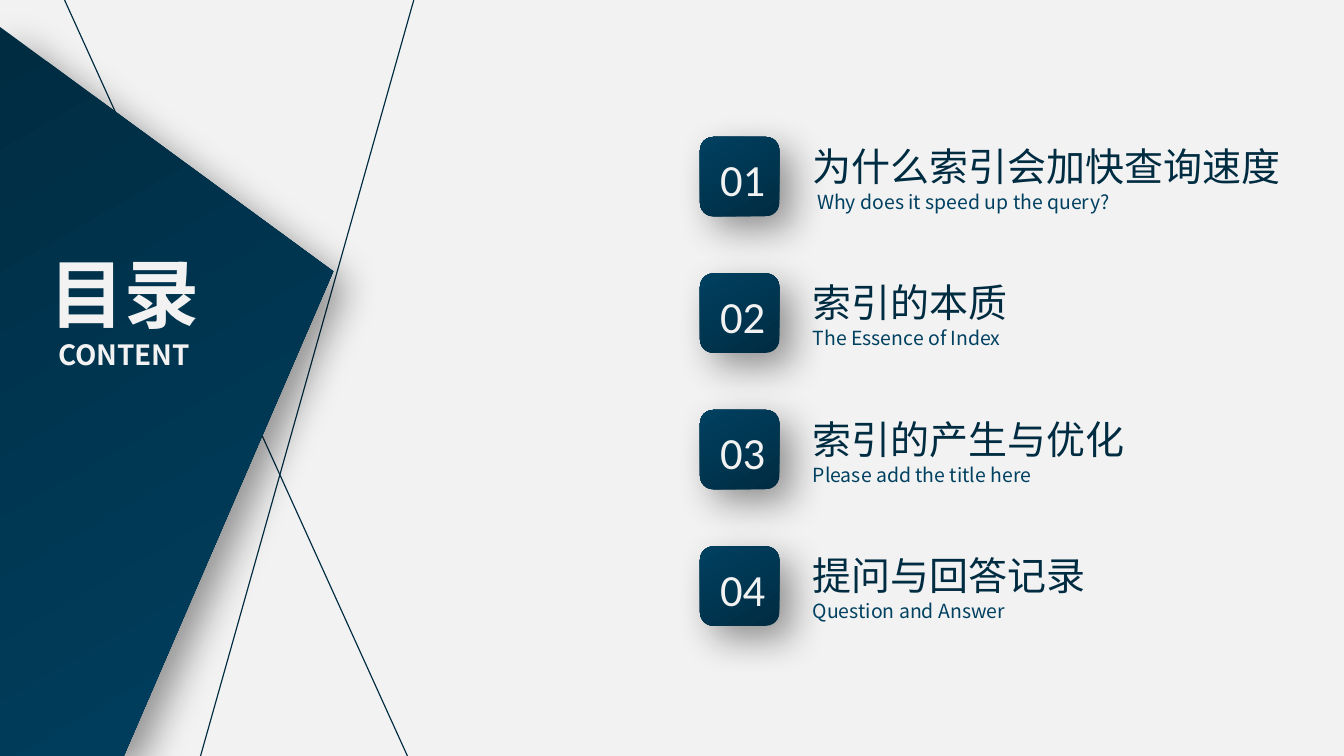
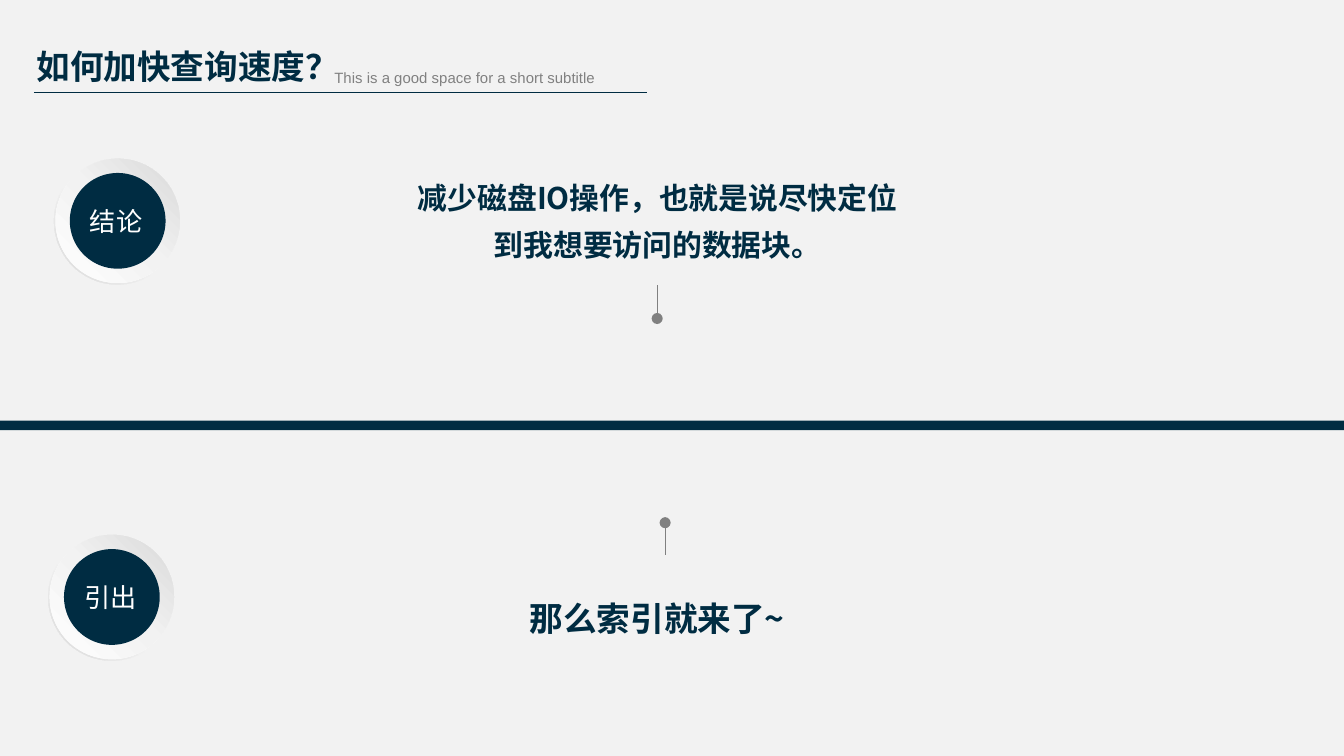
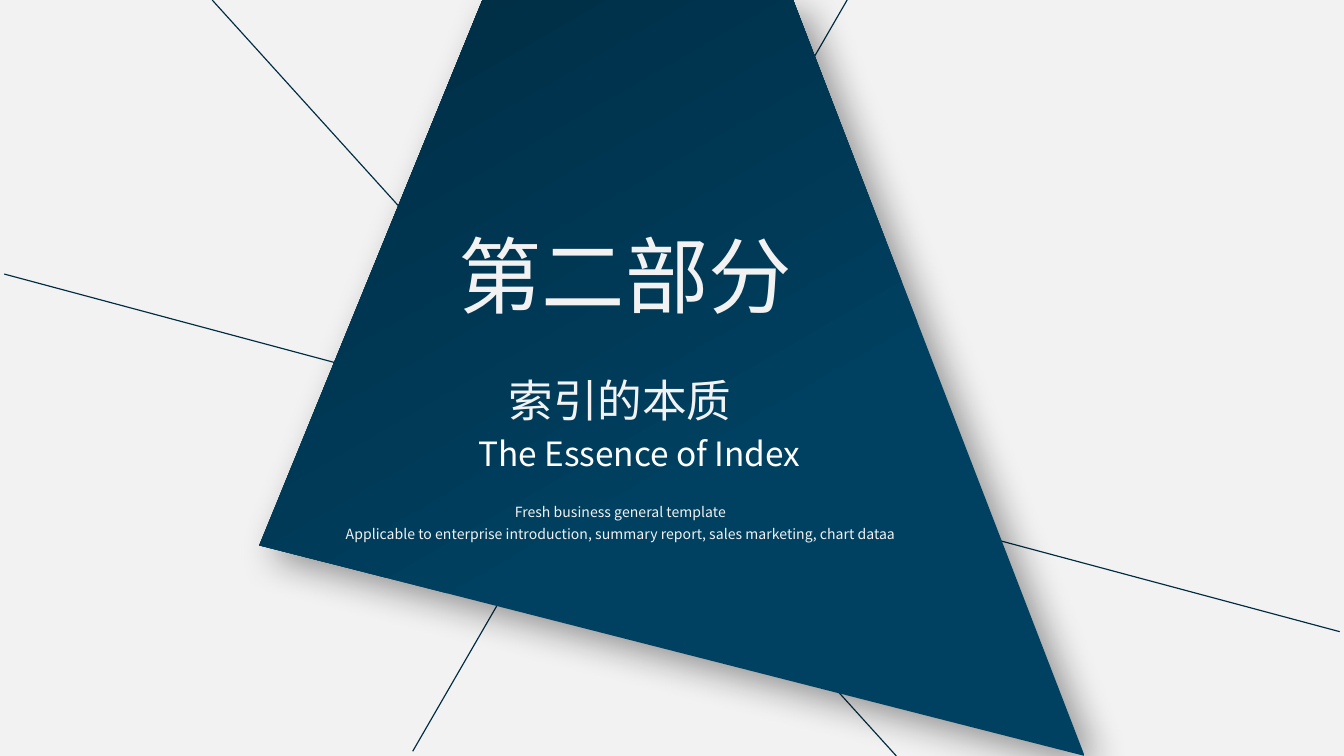
from lxml.etree import SubElement
from pptx import Presentation
from pptx.dml.color import RGBColor
from pptx.enum.shapes import MSO_CONNECTOR as Link, MSO_SHAPE as Kind
from pptx.enum.text import MSO_ANCHOR as Anchor, MSO_AUTO_SIZE as Fit, PP_ALIGN as Align
from pptx.oxml.ns import qn
from pptx.util import Cm, Pt

# Shared colours, fonts and measures
NAVY = RGBColor(0x00, 0x2C, 0x42)
BLUE = RGBColor(0x00, 0x40, 0x60)
PALE = RGBColor(0xF2, 0xF2, 0xF2)
SILVER = RGBColor(0xD9, 0xD9, 0xD9)
GRAY = RGBColor(0x80, 0x80, 0x80)
WHITE = RGBColor(0xFF, 0xFF, 0xFF)
SANS = "Noto Sans CJK SC"
WIDE, HIGH = 25.4, 14.29
DEEP = [(0, NAVY), (100, BLUE)]


def style(size, ink, bold=False, name=SANS):
    return {"ink": ink, "size": Pt(size), "bold": bold, "name": name}


STYLES = {
    "cover": style(40.2, PALE, True),
    "label": style(14.9, PALE, True),
    "number": style(23.9, PALE, name="Calibri"),
    "head": style(20.9, NAVY),
    "note": style(10.4, BLUE),
    "title": style(18, NAVY, True),
    "hint": style(8, GRAY, name="Arial"),
    "badge": style(14, WHITE),
    "claim": style(16, NAVY, True),
    "part": style(44.7, PALE),
    "topic": style(23.9, PALE),
    "english": style(17.9, WHITE),
    "small": style(7.5, PALE),
}


# Drawing helpers
def scale(box):
    return [Cm(v) for v in box]


def write(shapes, box, lines, align=Align.LEFT, gap=1.0, wrap=True,
          pad=(0.25, 0.13, 0.25, 0.13), holder=None):
    """Write (text, style) lines in a text box or a given placeholder."""
    spot = scale(box)
    if holder is None:
        holder = shapes.add_textbox(*spot)
    else:
        tree = holder._element.getparent()
        tree.append(holder._element)  # bring in front of the panels
    sides = zip(("left", "top", "width", "height"), spot)
    for key, val in sides:
        setattr(holder, key, val)
    frame = holder.text_frame
    form = {"word_wrap": wrap, "auto_size": Fit.SHAPE_TO_FIT_TEXT,
            "vertical_anchor": Anchor.TOP}
    edges = ("margin_left", "margin_top", "margin_right", "margin_bottom")
    form.update(zip(edges, scale(pad)))
    for key, val in form.items():
        setattr(frame, key, val)
    for i, (words, look) in enumerate(lines):
        para = frame.add_paragraph() if i else frame.paragraphs[0]
        flow = {"alignment": align, "line_spacing": gap, "space_before": Pt(0)}
        for key, val in flow.items():
            setattr(para, key, val)
        run = para.add_run()
        run.text = words
        for key, val in STYLES[look].items():
            if key == "ink":
                run.font.color.rgb = val
            else:
                setattr(run.font, key, val)
        east = SubElement(run._r.get_or_add_rPr(), qn("a:ea"))
        east.set("typeface", STYLES[look]["name"])


def line(shapes, start, end, ink=NAVY, width=0.63, dot=False):
    link = shapes.add_connector(Link.STRAIGHT, *scale(start + end))
    link.line.color.rgb = ink
    link.line.width = Pt(width)
    if dot:
        SubElement(link.line._get_or_add_ln(), qn("a:headEnd")).set("type", "oval")
    SubElement(link._element.spPr, qn("a:effectLst"))


def blend(shape, stops, angle):
    """Fill with a linear gradient; the angle runs clockwise."""
    shape.fill.gradient()
    shape.fill.gradient_angle = 360 - angle
    grad = shape._element.spPr.find(qn("a:gradFill"))
    ramp = grad.find(qn("a:gsLst"))
    for old in list(ramp):
        ramp.remove(old)
    for pos, ink in stops:
        stop = SubElement(ramp, qn("a:gs"), pos=str(pos * 1000))
        SubElement(stop, qn("a:srgbClr"), val=str(ink))


def finish(shape, fill, angle=None, shade=False):
    shape.shadow.inherit = False
    shape.line.fill.background()
    if angle is None:
        shape.fill.solid()
        shape.fill.fore_color.rgb = fill
    else:
        blend(shape, fill, angle)
    if shade:
        effects = shape._element.spPr.find(qn("a:effectLst"))
        cast = SubElement(effects, qn("a:outerShdw"), blurRad=str(Pt(20)),
                          dist=str(Pt(10)), dir="2700000", algn="tl", rotWithShape="0")
        black = SubElement(cast, qn("a:srgbClr"), val="000000")
        SubElement(black, qn("a:alpha"), val="40000")
    return shape


def panel(shapes, points, stops, angle):
    first, *rest = [scale(p) for p in points]
    pen = shapes.build_freeform(*first)
    pen.add_line_segments(rest, close=True)
    finish(pen.convert_to_shape(), stops, angle, shade=True)


# Contents slide
def entry(shapes, box, number, head, note):
    x, y, side, _ = box
    tile = shapes.add_shape(Kind.ROUNDED_RECTANGLE, *scale(box))
    finish(tile, DEEP, 240, shade=True)
    write(shapes, (x + 0.13, y + 0.16, 1.37, 1.27), [(number, "number")], wrap=False)
    left = x + side + 0.38
    for (words, width), look, drop, high, wrap in (
            (note, "note", 0.87, 0.71, False), (head, "head", -0.03, 1.14, True)):
        write(shapes, (left, y + drop, width, high), [(words, look)], wrap=wrap)


def contents(deck):
    slide = deck.slides.add_slide(deck.slide_layouts[5])
    shapes = slide.shapes
    line(shapes, (7.82, 0), (3.79, HIGH))
    line(shapes, (7.7, HIGH), (1.22, 0))
    panel(shapes, [(2.34, HIGH), (0, HIGH), (0, 0.51), (6.3, 5.13)], DEEP, 60)
    write(shapes, (0.53, 4.55, 3.63, 2.62), [("目录", "cover"), ("CONTENT", "label")],
          Align.CENTER, holder=shapes.title)
    # Each text comes with its box width
    rows = [
        (("为什么索引会加快查询速度", 9.93), (" Why does it speed up the query?", 6.55)),
        (("索引的本质", 6.88), ("The Essence of Index", 4.17)),
        (("索引的产生与优化", 7.09), ("Please add the title here", 4.8)),
        (("提问与回答记录", 5.99), ("Question and Answer", 4.32)),
    ]
    for i, (head, note) in enumerate(rows):
        entry(shapes, (13.23, 2.59 + 2.58 * i, 1.5, 1.5), f"{i + 1:02}", head, note)


# Conclusion slide
def badge(shapes, box, words):
    x, y, size, _ = box
    parts = shapes.add_group_shape().shapes
    rings = [
        (Kind.DONUT, 0, [(0, PALE), (55, PALE), (100, SILVER)], 135),
        (Kind.OVAL, 0.03, [(0, WHITE), (51, PALE), (100, SILVER)], 315),
        (Kind.OVAL, 0.3, NAVY, None),
    ]
    for kind, inset, fill, angle in rings:
        side = size - 2 * inset
        ring = parts.add_shape(kind, *scale((x + inset, y + inset, side, side)))
        if kind == Kind.DONUT:
            ring.adjustments[0] = 0.05
        finish(ring, fill, angle)
    write(parts, (x + 0.3, y + 0.71, 2, 0.99), [(words, "badge")],
          pad=(0.38, 0.2, 0.38, 0.2))


def claim(shapes, box, words, look, start, end):
    parts = shapes.add_group_shape().shapes
    write(parts, box, [(words, look)], Align.CENTER, 1.3)
    line(parts, start, end, GRAY, 0.5, dot=True)


def answer(deck):
    slide = deck.slides.add_slide(deck.slide_layouts[5])
    shapes = slide.shapes
    line(shapes, (0.64, 1.75), (12.22, 1.75), width=0.5)
    flush = (0, 0.13, 0.25, 0.13)
    write(shapes, (0.69, 0.74, 5.97, 1.02), [("如何加快查询速度？", "title")],
          wrap=False, pad=flush, holder=shapes.title)
    write(shapes, (6.32, 1.17, 5.21, 0.58),
          [("This is a good space for a short subtitle", "hint")], wrap=False, pad=flush)
    finish(shapes.add_shape(Kind.RECTANGLE, *scale((0, 7.95, WIDE, 0.18))), NAVY)
    badge(shapes, (1.02, 2.97, 2.41, 2.41), "结论")
    claim(shapes, (7.39, 3.07, 10.08, 2.03),
          "减少磁盘IO操作，也就是说尽快定位到我想要访问的数据块。", "claim",
          (12.42, 6.02), (12.42, 5.38))
    claim(shapes, (9.27, 10.95, 6.3, 1.24), "那么索引就来了~", "title",
          (12.57, 9.88), (12.57, 10.49))
    badge(shapes, (0.91, 10.08, 2.41, 2.41), "引出")


# Section slide
def section(deck):
    slide = deck.slides.add_slide(deck.slide_layouts[0])
    shapes = slide.shapes
    for start, end in (((16.01, 0), (7.8, 14.2)), ((16.94, HIGH), (4.01, 0)),
                       ((0.08, 5.18), (25.32, 11.94))):
        line(shapes, start, end)
    panel(shapes, [(9.12, 0), (14.99, 0), (20.5, HIGH), (4.9, 10.31)],
          [(39, BLUE), (100, NAVY)], 240)
    write(shapes, (8.38, 4.11, 6.88, 2.16), [("第二部分", "part")], Align.CENTER,
          wrap=False, holder=shapes.title)
    write(shapes, (3.94, 9.3, 15.57, 1.09), [
        ("Fresh business general template", "small"),
        ("Applicable to enterprise introduction, summary report, "
         "sales marketing, chart dataa", "small"),
    ], Align.CENTER, 1.3)
    write(shapes, (8.79, 8.05, 6.81, 1.02), [("The Essence of Index", "english")],
          wrap=False)
    write(shapes, (8.05, 6.91, 7.34, 1.27), [("索引的本质", "topic")], Align.CENTER,
          holder=slide.placeholders[1])


def main():
    deck = Presentation()
    deck.slide_width, deck.slide_height = Cm(WIDE), Cm(HIGH)
    back = deck.slide_master.background.fill
    back.solid()
    back.fore_color.rgb = PALE
    for build in (contents, answer, section):
        build(deck)
    deck.save("out.pptx")


if __name__ == "__main__":
    main()
